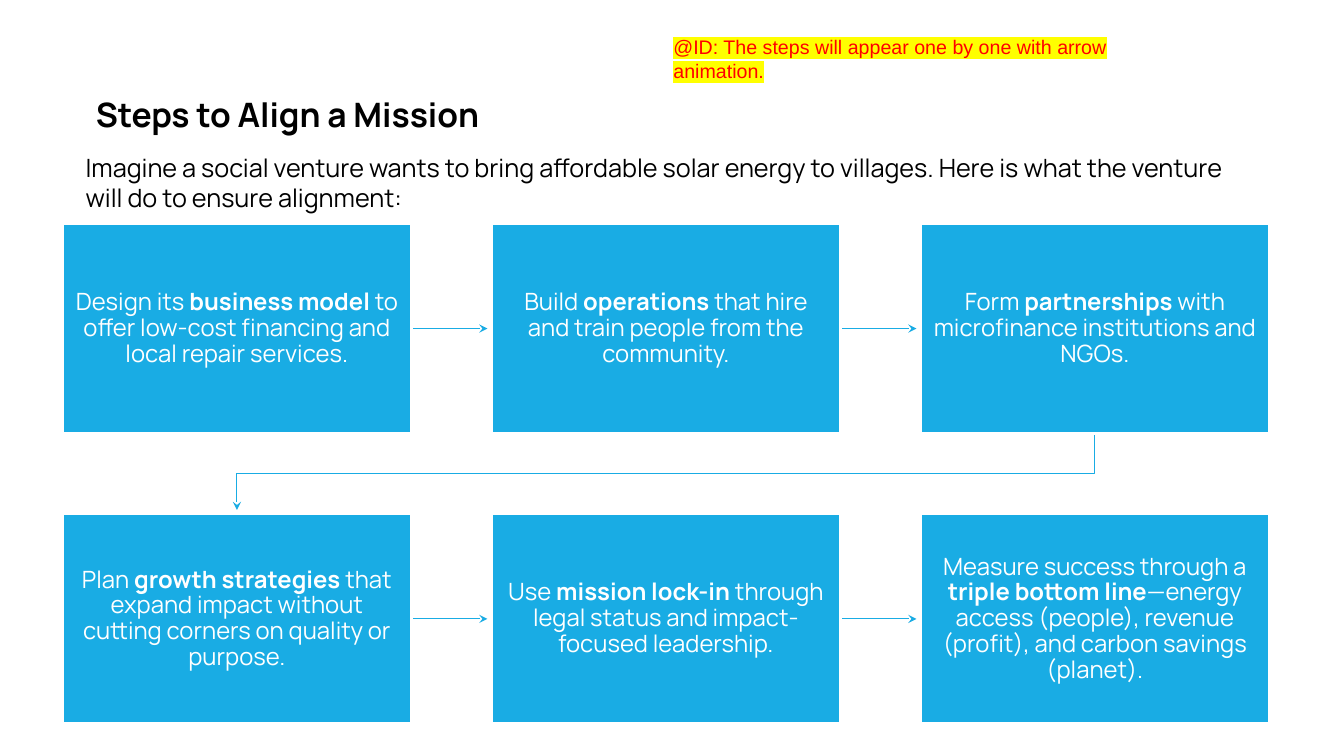
from lxml.etree import SubElement
from pptx import Presentation
from pptx.dml.color import RGBColor
from pptx.enum.shapes import MSO_CONNECTOR, MSO_SHAPE
from pptx.enum.text import MSO_ANCHOR, MSO_AUTO_SIZE, PP_ALIGN
from pptx.oxml import parse_xml
from pptx.oxml.ns import nsdecls, qn
from pptx.util import Inches, Pt

BLUE, WHITE, BLACK = "19ACE4", "FFFFFF", "000000"
COLUMNS, ROWS = 3, 2
STEP_WIDTH, STEP_HEIGHT = 3.46, 2.08
ARROW_CLEARANCE = 0.04

# Each step: text before, bold key term, text after
STEPS = [
    ("Design its ", "business model ", "to offer low-cost financing and local repair services."),
    ("Build ", "operations", " that hire and train people from the community."),
    ("Form ", "partnerships", " with microfinance institutions and NGOs."),
    ("Plan ", "growth strategies ", "that expand impact without cutting corners on quality or purpose."),
    ("Use ", "mission lock-in ", "through legal status and impact-focused leadership."),
    ("Measure success through a ", "triple bottom line",
     "—energy access (people), revenue (profit), and carbon savings (planet)."),
]


def color(value):
    return RGBColor.from_string(value)


def inches(*lengths):
    return [Inches(length) for length in lengths]


def write_text(shape, runs, size, fill, font="Manrope", align=PP_ALIGN.LEFT,
               anchor=MSO_ANCHOR.TOP, spacing=1.0, margins=(0.1, 0.05), highlight=None):
    """Fill a shape with one paragraph made of (text, bold) runs."""
    frame = shape.text_frame
    frame.word_wrap = True
    frame.auto_size = MSO_AUTO_SIZE.NONE
    frame.vertical_anchor = anchor
    frame.margin_left = frame.margin_right = Inches(margins[0])
    frame.margin_top = frame.margin_bottom = Inches(margins[1])
    paragraph = frame.paragraphs[0]
    paragraph.alignment = align
    paragraph.line_spacing = spacing
    for text, bold in runs:
        run = paragraph.add_run()
        run.text = text
        run.font.name, run.font.size, run.font.bold = font, Pt(size), bold
        run.font.color.rgb = color(fill)
        if highlight:
            mark = parse_xml(f'<a:highlight {nsdecls("a")}><a:srgbClr val="{highlight}"/></a:highlight>')
            run.font._element.find(qn("a:solidFill")).addnext(mark)


def style_arrow(slide, arrow):
    """Thin blue line with a stealth head, placed behind the steps."""
    arrow.line.color.rgb = color(BLUE)
    arrow.line.width = Pt(0.75)
    line = arrow.line._get_or_add_ln()
    SubElement(line, qn("a:tailEnd"), type="stealth")
    slide.shapes._spTree.insert(2, arrow._element)


def add_heading(slide, left, top, width):
    title = slide.shapes.title
    title.left, title.top, title.width, title.height = inches(left + 0.1, top, width - 2.77, 0.5)
    write_text(title, [("Steps to Align a Mission", True)], 24, BLACK)
    intro = slide.shapes.add_textbox(*inches(left, top + 0.58, width, 0.71))
    write_text(intro, [("Imagine a social venture wants to bring affordable solar energy to villages. "
                        "Here is what the venture will do to ensure alignment:", False)], 18, BLACK)


def add_step(slide, left, top, step):
    box = slide.shapes.add_shape(MSO_SHAPE.RECTANGLE, *inches(left, top, STEP_WIDTH, STEP_HEIGHT))
    box.shadow.inherit = False
    box.fill.solid()
    box.fill.fore_color.rgb = color(BLUE)
    box.line.color.rgb = color(WHITE)
    box.line.width = Pt(2)
    before, term, after = step
    write_text(box, [(before, False), (term, True), (after, False)], 17, WHITE,
               align=PP_ALIGN.CENTER, anchor=MSO_ANCHOR.MIDDLE, spacing=0.9, margins=(0.13, 0.13))
    return box


def add_straight_arrow(slide, start, end):
    middle = start.top + start.height // 2
    arrow = slide.shapes.add_connector(MSO_CONNECTOR.STRAIGHT, start.left + start.width, middle,
                                       end.left - Inches(ARROW_CLEARANCE), middle)
    arrow.begin_connect(start, 3)
    SubElement(arrow._element.spPr, qn("a:effectLst"))
    style_arrow(slide, arrow)


def add_return_arrow(slide, start, end):
    """Lead from the end of one row to the start of the next."""
    start_x, end_x = start.left + start.width // 2, end.left + end.width // 2
    bottom = start.top + start.height
    turn = (bottom + end.top) // 2
    builder = slide.shapes.build_freeform(start_x, bottom)
    builder.add_line_segments([(start_x, turn), (end_x, turn),
                               (end_x, end.top - Inches(ARROW_CLEARANCE))], close=False)
    arrow = builder.convert_to_shape()
    arrow.shadow.inherit = False
    arrow.fill.background()
    style_arrow(slide, arrow)


def add_process(slide, left, top, width, height):
    column_pitch = (width - STEP_WIDTH) / (COLUMNS - 1)
    row_pitch = (height - STEP_HEIGHT) / (ROWS - 1)
    boxes = []
    for index, step in enumerate(STEPS):
        row, column = divmod(index, COLUMNS)
        boxes.append(add_step(slide, left + column * column_pitch, top + row * row_pitch, step))
    for start, end in zip(boxes, boxes[1:]):
        add_arrow = add_straight_arrow if start.top == end.top else add_return_arrow
        add_arrow(slide, start, end)


def add_note(slide, left, top, width, height):
    note = slide.shapes.add_textbox(*inches(left, top, width, height))
    write_text(note, [("@ID: The steps will appear one by one with arrow animation.", False)],
               14, "FF0000", font="Arial", highlight="FFFF00")


def main():
    presentation = Presentation()
    presentation.slide_width, presentation.slide_height = inches(13.33, 7.5)
    slide = presentation.slides.add_slide(presentation.slide_layouts[5])
    add_heading(slide, 0.75, 0.88, 11.55)
    add_process(slide, 0.62, 2.22, 11.97, 4.96)
    add_note(slide, 6.58, 0.3, 4.92, 0.57)
    presentation.save("out.pptx")


if __name__ == "__main__":
    main()
